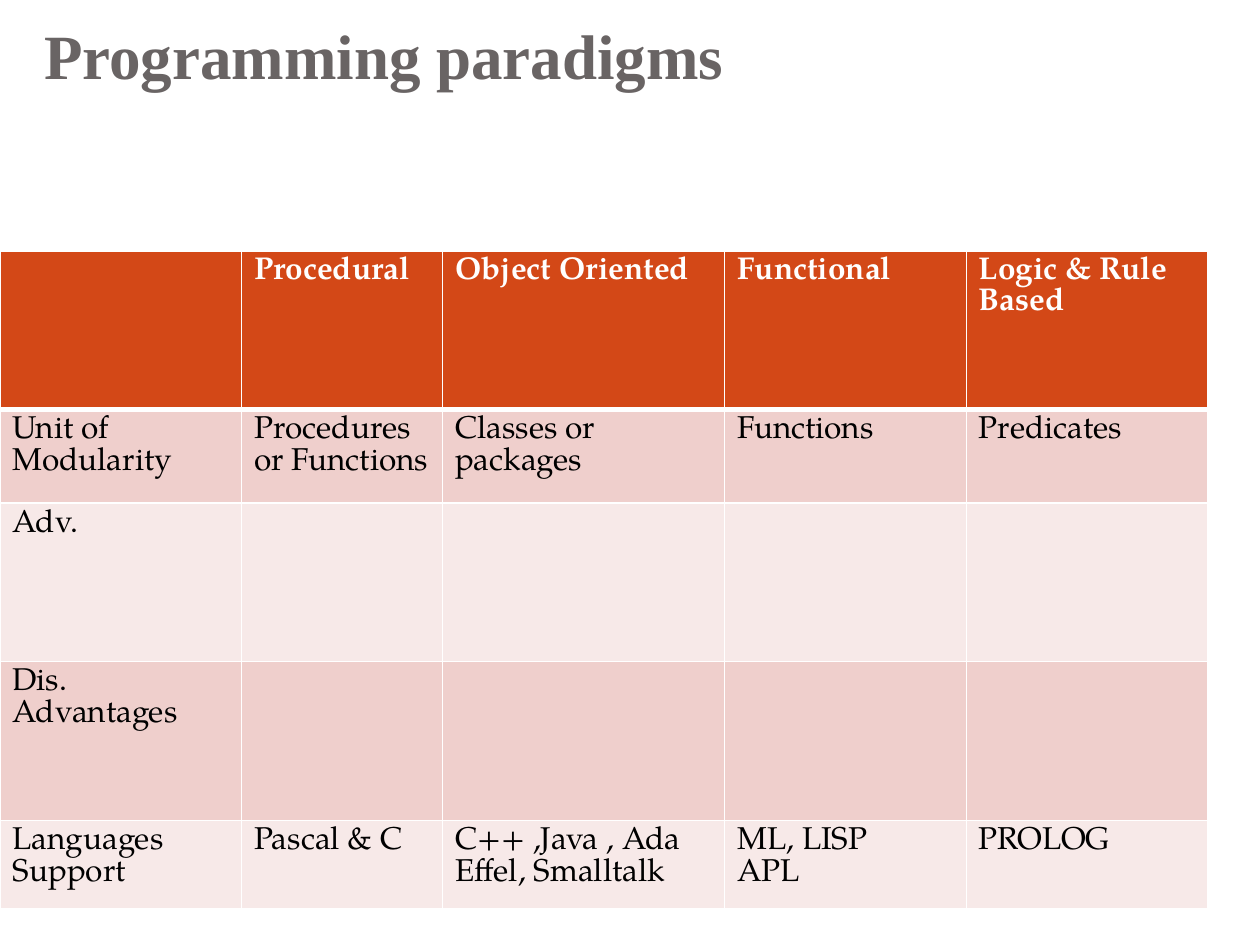
from lxml.etree import SubElement
from pptx import Presentation
from pptx.dml.color import RGBColor
from pptx.enum.text import MSO_ANCHOR
from pptx.oxml.ns import qn
from pptx.util import Cm, Pt

TITLE_FONT, BODY_FONT = "Times New Roman", "TeX Gyre Pagella"
WHITE, BLACK, GREY = "FFFFFF", "000000", "696464"
HEADER, BANDS = "D34817", ("F7E9E8", "EFCFCC")

COLUMN_WIDTHS = (4.87, 4.05, 5.69, 4.87, 4.87)
ROW_HEIGHTS = (3.2, 1.88, 3.2, 3.2, 1.5)
PARADIGMS = (
    ("", "Procedural", "Object Oriented", "Functional", "Logic & Rule Based"),
    ("Unit of Modularity", "Procedures or Functions", "Classes or packages",
     "Functions", "Predicates"),
    ("Adv.", "", "", "", ""),
    ("Dis. Advantages", "", "", "", ""),
    ("Languages Support", "Pascal & C", "C++ ,Java , Ada\nEffel, Smalltalk",
     "ML, LISP\nAPL", "PROLOG"),
)


def color(hex_string):
    return RGBColor.from_string(hex_string)


class SlideBuilder:
    def __init__(self, slide):
        self.slide = slide

    def style_text(self, frame, text, font, size, ink, bold):
        frame.text = text
        for paragraph in frame.paragraphs:
            for run in paragraph.runs:
                run.font.name = font
                run.font.size = Pt(size)
                run.font.bold = bold
                run.font.color.rgb = color(ink)

    def title(self, text, left, top, width, height):
        frame = self.slide.shapes.add_textbox(
            Cm(left), Cm(top), Cm(width), Cm(height)).text_frame
        frame.word_wrap = True
        frame.vertical_anchor = MSO_ANCHOR.BOTTOM
        frame.margin_bottom = Cm(0.25)
        self.style_text(frame, text, TITLE_FONT, 36, GREY, True)

    def border(self, cell, side, points):
        line = SubElement(cell._tc.get_or_add_tcPr(), qn(f"a:ln{side}"),
                          w=str(Pt(points)))
        fill = SubElement(line, qn("a:solidFill"))
        SubElement(fill, qn("a:srgbClr"), val=WHITE)

    def cell(self, cell, text, row):
        is_header = row == 0
        # Borders come before the fill in the cell properties
        thickness = {"L": 1, "R": 1, "T": 3 if row == 1 else 1,
                     "B": 3 if is_header else 1}
        for side, points in thickness.items():
            self.border(cell, side, points)
        cell.fill.solid()
        cell.fill.fore_color.rgb = color(HEADER if is_header else BANDS[row % 2])
        self.style_text(cell.text_frame, text, BODY_FONT, 18,
                        WHITE if is_header else BLACK, is_header)

    def table(self, rows, left, top, widths, heights):
        table = self.slide.shapes.add_table(
            len(rows), len(widths), Cm(left), Cm(top),
            Cm(sum(widths)), Cm(sum(heights))).table
        for column, width in zip(table.columns, widths):
            column.width = Cm(width)
        for table_row, height in zip(table.rows, heights):
            table_row.height = Cm(height)
        for r, texts in enumerate(rows):
            for c, text in enumerate(texts):
                self.cell(table.cell(r, c), text, r)


def main():
    deck = Presentation()
    deck.slide_width, deck.slide_height = Cm(25.4), Cm(19.05)
    builder = SlideBuilder(deck.slides.add_slide(deck.slide_layouts[6]))

    # Heading
    builder.title("Programming paradigms", 0.64, 0.64, 23.5, 1.47)

    # Comparison of paradigms
    builder.table(PARADIGMS, 0, 5.06, COLUMN_WIDTHS, ROW_HEIGHTS)

    deck.save("out.pptx")


if __name__ == "__main__":
    main()
